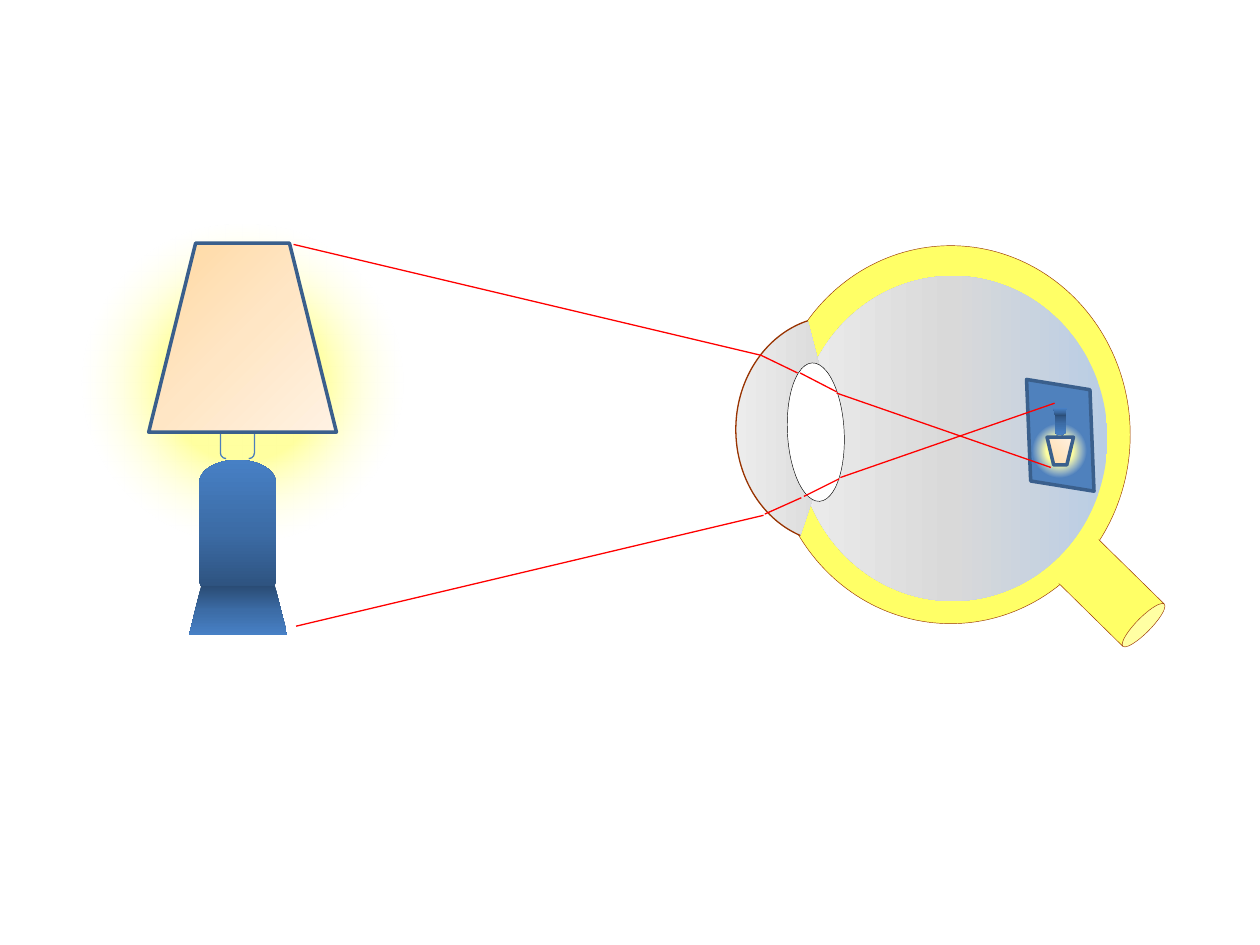
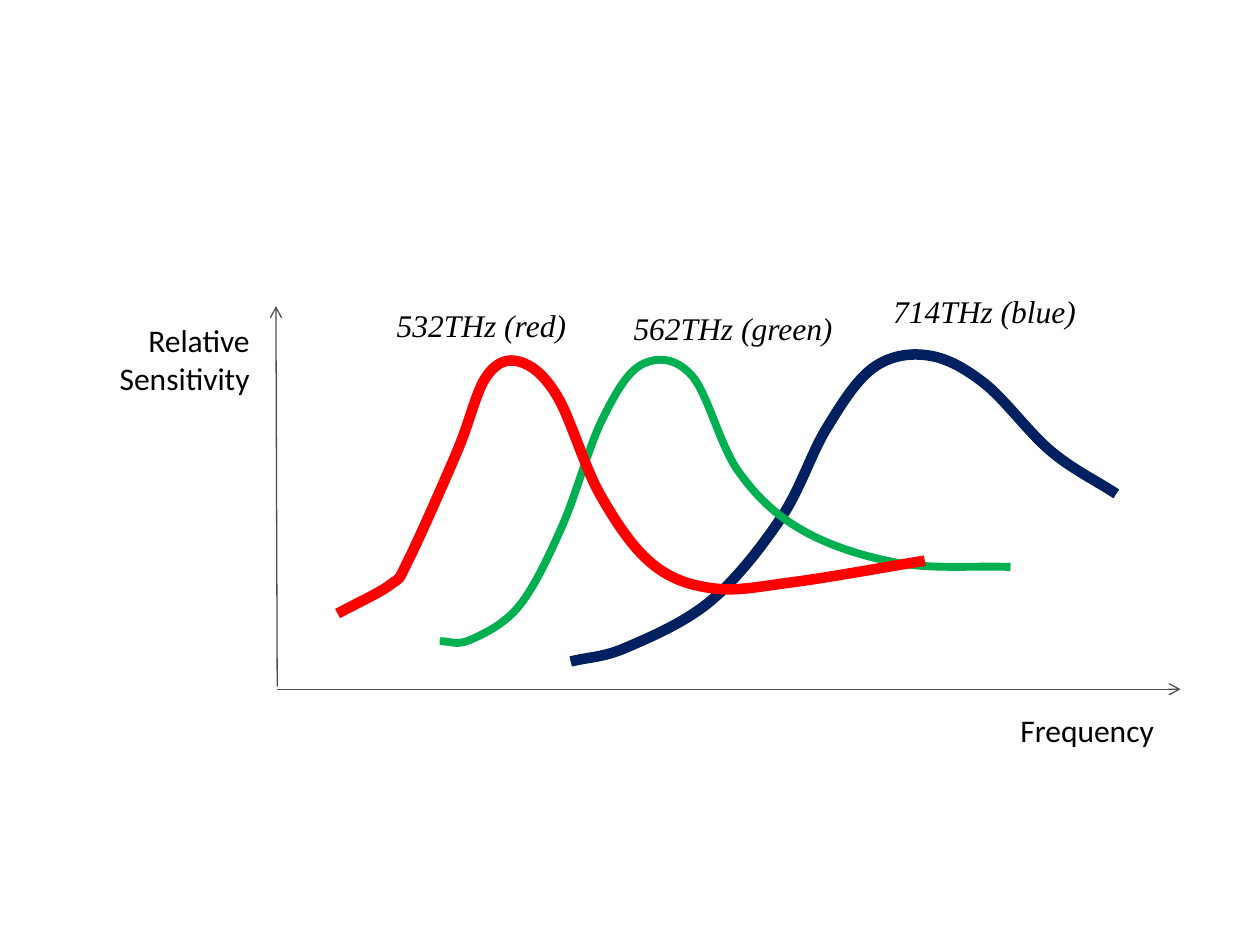
"""Build two slides on vision: image formation in the eye and cone sensitivity."""
from dataclasses import dataclass
from typing import NamedTuple, Optional, Union

from lxml.etree import SubElement
from pptx import Presentation
from pptx.dml.color import RGBColor
from pptx.enum.shapes import MSO_CONNECTOR, MSO_SHAPE
from pptx.enum.text import MSO_AUTO_SIZE, PP_ALIGN
from pptx.oxml.ns import qn
from pptx.shapes.autoshape import Shape
from pptx.shapes.connector import Connector
from pptx.slide import Slide
from pptx.util import Inches, Pt

Point = tuple[float, float]


class Frame(NamedTuple):
    left: float
    top: float
    width: float
    height: float


class Stop(NamedTuple):
    position: int
    color: str
    opacity: int = 100


class Gradient(NamedTuple):
    stops: tuple[Stop, ...]
    angle: Optional[int] = None


class Stroke(NamedTuple):
    color: str
    width: float


def three_stops(first: str, middle: str, last: str, angle: int) -> Gradient:
    """Return an evenly spaced linear gradient."""
    return Gradient((Stop(0, first), Stop(50, middle), Stop(100, last)), angle)


@dataclass(frozen=True)
class Theme:
    sclera: str = "FFFF66"
    lens: str = "FFFFFF"
    retina_patch: str = "4F81BD"
    text: str = "000000"
    label_font: str = "Times New Roman"
    axis_font: str = "Calibri"
    text_size: int = 18
    eye_edge: Stroke = Stroke("993300", 0.25)
    cornea_edge: Stroke = Stroke("993300", 0.75)
    lens_edge: Stroke = Stroke("000000", 0.25)
    outline: Stroke = Stroke("3A5F8C", 2)
    harp: Stroke = Stroke("4B7EBC", 0.75)
    ray: Stroke = Stroke("FF0000", 0.75)
    axis: Stroke = Stroke("4D4D4D", 0.75)
    red_cone: Stroke = Stroke("FF0000", 6)
    green_cone: Stroke = Stroke("00B050", 4.5)
    blue_cone: Stroke = Stroke("002060", 6)
    humour: Gradient = three_stops("B9CDE5", "D9D9D9", "ECECEC", 180)
    lamp_body: Gradient = three_stops("2A4C75", "3C6CA6", "4780C5", 180)
    lamp_base: Gradient = three_stops("2A4C75", "3C6CA6", "4780C5", 90)
    lampshade: Gradient = three_stops("FFD8A0", "FFE6C5", "FFF2E3", 45)
    glow: Gradient = Gradient((Stop(32, "FFFFA0"), Stop(50, "FFFFC5", 46),
                               Stop(66, "FFFFE3", 0), Stop(100, "FFFFE3", 0)))


THEME = Theme()


@dataclass(frozen=True)
class Lamp:
    glow: Frame
    body: Frame
    base: Frame
    harp: Frame
    shade: Frame
    inverted: bool = False


@dataclass(frozen=True)
class Cone:
    label: str
    label_frame: Frame
    stroke: Stroke
    knots: tuple[Point, ...]


LAMP = Lamp(glow=Frame(0.46, 1.78, 2.93, 2.51), body=Frame(1.32, 3.91, 1.13, 0.61),
            base=Frame(1.5, 4.65, 0.78, 0.39), harp=Frame(1.75, 3.17, 0.27, 0.47),
            shade=Frame(1.18, 1.93, 1.49, 1.5))
RETINAL_LAMP = Lamp(glow=Frame(8.18, 3.35, 0.46, 0.46), body=Frame(8.33, 3.32, 0.17, 0.09),
                    base=Frame(8.36, 3.24, 0.11, 0.06), harp=Frame(8.39, 3.44, 0.04, 0.07),
                    shade=Frame(8.31, 3.47, 0.21, 0.22), inverted=True)

RAYS: tuple[tuple[Point, Point], ...] = (
    ((2.33, 1.94), (6.04, 2.82)), ((6.04, 2.82), (6.33, 2.96)),
    ((6.35, 2.96), (6.64, 3.11)), ((6.64, 3.12), (8.34, 3.71)),
    ((2.35, 4.97), (6.06, 4.09)), ((6.07, 4.08), (6.36, 3.95)),
    ((6.38, 3.94), (6.66, 3.8)), ((6.67, 3.79), (8.37, 3.2)),
)

CONES = (
    Cone("714THz (blue)", Frame(6.99, 2.27, 1.67, 0.4), THEME.blue_cone,
         ((8.86, 3.92), (8.34, 3.58), (7.81, 3.04), (7.36, 2.82), (6.93, 2.92),
          (6.56, 3.4), (6.2, 4.11), (5.64, 4.77), (4.97, 5.14), (4.53, 5.25))),
    Cone("562THz (green)", Frame(4.93, 2.4, 1.8, 0.4), THEME.green_cone,
         ((8.02, 4.5), (7.14, 4.47), (6.37, 4.21), (5.86, 3.74), (5.49, 2.98),
          (5.1, 2.89), (4.78, 3.33), (4.46, 4.18), (4.12, 4.81), (3.73, 5.08),
          (3.49, 5.09))),
    Cone("532THz (red)", Frame(3.05, 2.38, 1.56, 0.4), THEME.red_cone,
         ((7.34, 4.45), (6.3, 4.62), (5.66, 4.67), (5.17, 4.47), (4.76, 3.92),
          (4.42, 3.14), (4.12, 2.87), (3.86, 2.99), (3.63, 3.58), (3.24, 4.45),
          (3.1, 4.64), (2.68, 4.87))),
)


def apply_stroke(drawn: Union[Shape, Connector], stroke: Stroke) -> None:
    """Set the line colour and width."""
    drawn.line.color.rgb = RGBColor.from_string(stroke.color)
    drawn.line.width = Pt(stroke.width)


def apply_gradient(shape: Shape, gradient: Gradient) -> None:
    """Fill a shape with a linear gradient, or a circular one if it has no angle."""
    shape.fill.background()
    fill = shape._element.spPr.find(qn("a:noFill"))
    fill.tag = qn("a:gradFill")
    fill.set("rotWithShape", "1")
    stop_list = SubElement(fill, qn("a:gsLst"))
    for stop in gradient.stops:
        mark = SubElement(stop_list, qn("a:gs"), pos=str(stop.position * 1000))
        color = SubElement(mark, qn("a:srgbClr"), val=stop.color)
        if stop.opacity < 100:
            SubElement(color, qn("a:alpha"), val=str(stop.opacity * 1000))
    if gradient.angle is None:
        circle = SubElement(fill, qn("a:path"), path="circle")
        SubElement(circle, qn("a:fillToRect"),
                   {side: "50000" for side in ("l", "t", "r", "b")})
    else:
        SubElement(fill, qn("a:lin"), ang=str(gradient.angle * 60000), scaled="0")


def add_part(slide: Slide, kind: MSO_SHAPE, frame: Frame,
             fill: Union[str, Gradient, None] = None, stroke: Optional[Stroke] = None,
             rotation: float = 0, flip: str = "",
             adjustments: tuple[float, ...] = ()) -> None:
    """Draw one preset shape; flip holds H, V or both."""
    part = slide.shapes.add_shape(kind, *map(Inches, frame))
    part.shadow.inherit = False
    part.rotation = rotation
    for axis in flip:
        part._element.spPr.find(qn("a:xfrm")).set(f"flip{axis}", "1")
    for index, adjustment in enumerate(adjustments):
        part.adjustments[index] = adjustment
    if isinstance(fill, Gradient):
        apply_gradient(part, fill)
    elif fill:
        part.fill.solid()
        part.fill.fore_color.rgb = RGBColor.from_string(fill)
    else:
        part.fill.background()
    if stroke:
        apply_stroke(part, stroke)
    else:
        part.line.fill.background()


def add_line(slide: Slide, start: Point, end: Point, stroke: Stroke,
             arrow: bool = False) -> None:
    """Draw a straight line, with an open arrowhead at its end if asked."""
    line = slide.shapes.add_connector(MSO_CONNECTOR.STRAIGHT, *map(Inches, start + end))
    apply_stroke(line, stroke)
    if arrow:
        SubElement(line.line._get_or_add_ln(), qn("a:tailEnd"), type="arrow")
    SubElement(line._element.spPr, qn("a:effectLst"))


def control_points(knots: tuple[Point, ...]) -> list[Point]:
    """Return two handles and an end point for each span of a smooth curve."""
    padded = (knots[0], *knots, knots[-1])
    last = len(knots) - 1
    handles = []
    for index, (before, after) in enumerate(zip(padded, padded[2:])):
        share = 3 if index in (0, last) else 6
        handles.append(tuple((b - a) / share for a, b in zip(before, after)))
    points: list[Point] = []
    for index in range(last):
        (x1, y1), (x2, y2) = knots[index:index + 2]
        (dx1, dy1), (dx2, dy2) = handles[index:index + 2]
        points += [(x1 + dx1, y1 + dy1), (x2 - dx2, y2 - dy2), (x2, y2)]
    return points


def add_curve(slide: Slide, knots: tuple[Point, ...], stroke: Stroke) -> None:
    """Draw a smooth open Bézier curve through the knots."""
    builder = slide.shapes.build_freeform(*map(Inches, knots[0]))
    builder.add_line_segments(
        [(Inches(x), Inches(y)) for x, y in control_points(knots)], close=False)
    curve = builder.convert_to_shape()
    segments = list(curve._element.iter(qn("a:lnTo")))
    for first, *others in zip(segments[::3], segments[1::3], segments[2::3]):
        first.tag = qn("a:cubicBezTo")
        for other in others:
            first.append(other[0])
            other.getparent().remove(other)
    curve.shadow.inherit = False
    curve.fill.background()
    apply_stroke(curve, stroke)


def add_label(slide: Slide, text: str, frame: Frame, font: str, italic: bool = False,
              wrap: bool = False, align: PP_ALIGN = PP_ALIGN.LEFT) -> None:
    """Write one text label."""
    label = slide.shapes.add_textbox(*map(Inches, frame)).text_frame
    label.text = text
    label.word_wrap = wrap
    label.auto_size = MSO_AUTO_SIZE.SHAPE_TO_FIT_TEXT
    paragraph = label.paragraphs[0]
    paragraph.alignment = align
    style = paragraph.runs[0].font
    style.name = font
    style.size = Pt(THEME.text_size)
    style.italic = italic
    style.color.rgb = RGBColor.from_string(THEME.text)


def draw_lamp(slide: Slide, lamp: Lamp) -> None:
    """Draw a glowing table lamp, upright or inverted."""
    flip = "V" if lamp.inverted else ""
    add_part(slide, MSO_SHAPE.OVAL, lamp.glow, THEME.glow)
    add_part(slide, MSO_SHAPE.FLOWCHART_TERMINATOR, lamp.body, THEME.lamp_body,
             rotation=270 if lamp.inverted else 90, flip=flip)
    add_part(slide, MSO_SHAPE.TRAPEZOID, lamp.base, THEME.lamp_base, flip=flip)
    add_part(slide, MSO_SHAPE.DOUBLE_BRACKET, lamp.harp, stroke=THEME.harp, flip="H" + flip)
    add_part(slide, MSO_SHAPE.TRAPEZOID, lamp.shade, THEME.lampshade, THEME.outline, flip=flip)


def draw_eye(slide: Slide) -> None:
    """Draw the eyeball with its cornea, lens and patch of retina."""
    add_part(slide, MSO_SHAPE.OVAL, Frame(6.12, 1.95, 2.85, 3), THEME.sclera, THEME.eye_edge)
    add_part(slide, MSO_SHAPE.OVAL, Frame(6.33, 2.19, 2.46, 2.58), THEME.humour)
    add_part(slide, MSO_SHAPE.ARC, Frame(5.84, 2.51, 1.59, 1.8), THEME.humour,
             THEME.cornea_edge, adjustments=(65.17, 153.26))
    add_part(slide, MSO_SHAPE.OVAL, Frame(6.25, 2.88, 0.45, 1.1), THEME.lens,
             THEME.lens_edge, rotation=356.9)
    add_part(slide, MSO_SHAPE.PARALLELOGRAM, Frame(8.08, 3.06, 0.67, 0.79),
             THEME.retina_patch, THEME.outline, rotation=9.2, flip="H", adjustments=(0.24,))


def draw_optic_nerve(slide: Slide) -> None:
    """Draw the optic nerve and the joint that merges it with the eyeball."""
    add_part(slide, MSO_SHAPE.CAN, Frame(8.58, 4.28, 0.47, 0.85), THEME.sclera,
             THEME.eye_edge, rotation=134.5)
    add_part(slide, MSO_SHAPE.OVAL, Frame(8.47, 4.2, 0.14, 0.5), THEME.sclera, rotation=44.4)


def build_eye_slide(slide: Slide) -> None:
    """Show light from a lamp forming an inverted image on the retina."""
    draw_eye(slide)
    draw_lamp(slide, LAMP)
    draw_lamp(slide, RETINAL_LAMP)
    draw_optic_nerve(slide)
    for start, end in RAYS:
        add_line(slide, start, end, THEME.ray)


def build_sensitivity_slide(slide: Slide) -> None:
    """Show the relative sensitivity of the three cones by frequency."""
    add_line(slide, (2.2, 5.45), (2.19, 2.43), THEME.axis, arrow=True)
    add_line(slide, (2.2, 5.47), (9.37, 5.47), THEME.axis, arrow=True)
    for cone in CONES:
        add_curve(slide, cone.knots, cone.stroke)
    for cone in reversed(CONES):
        add_label(slide, cone.label, cone.label_frame, THEME.label_font, italic=True)
    add_label(slide, "Frequency", Frame(8, 5.59, 1.28, 0.4), THEME.axis_font)
    add_label(slide, "Relative Sensitivity", Frame(0.43, 2.5, 1.65, 0.71),
              THEME.axis_font, wrap=True, align=PP_ALIGN.RIGHT)


def main() -> None:
    """Build and save the presentation."""
    deck = Presentation()
    deck.slide_width, deck.slide_height = Inches(10), Inches(7.5)
    blank = deck.slide_layouts[6]
    for build in (build_eye_slide, build_sensitivity_slide):
        build(deck.slides.add_slide(blank))
    deck.save("out.pptx")


if __name__ == "__main__":
    main()
